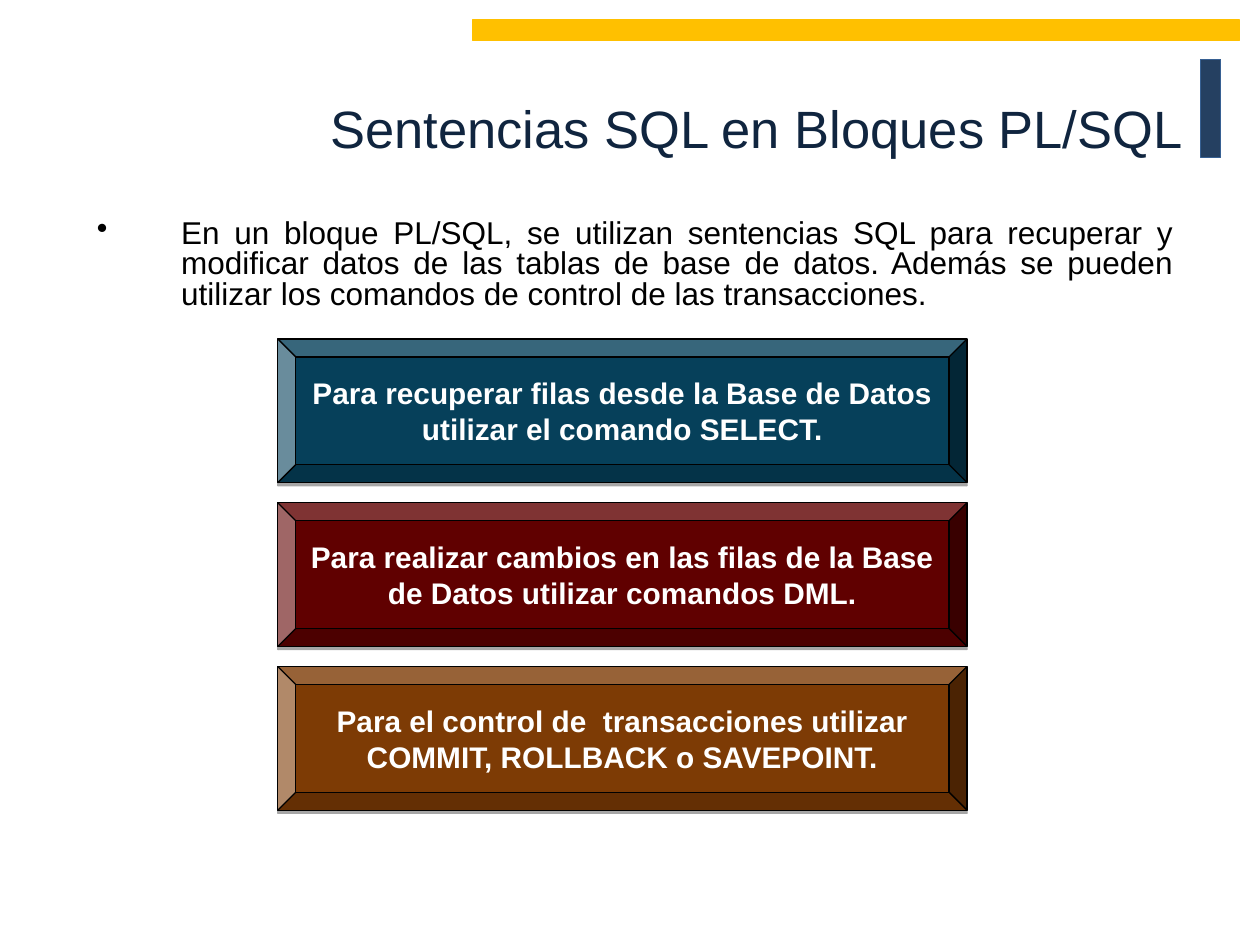
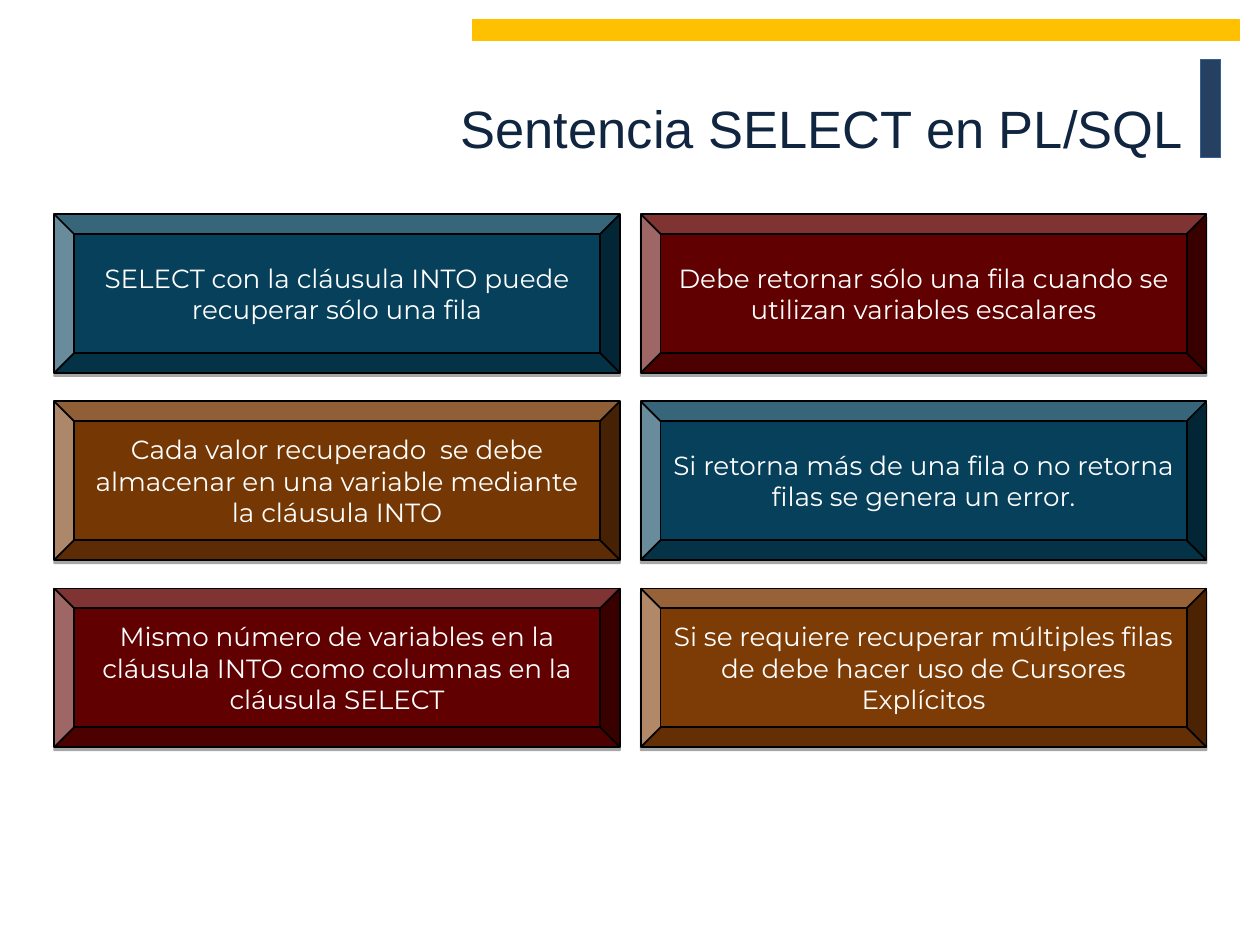
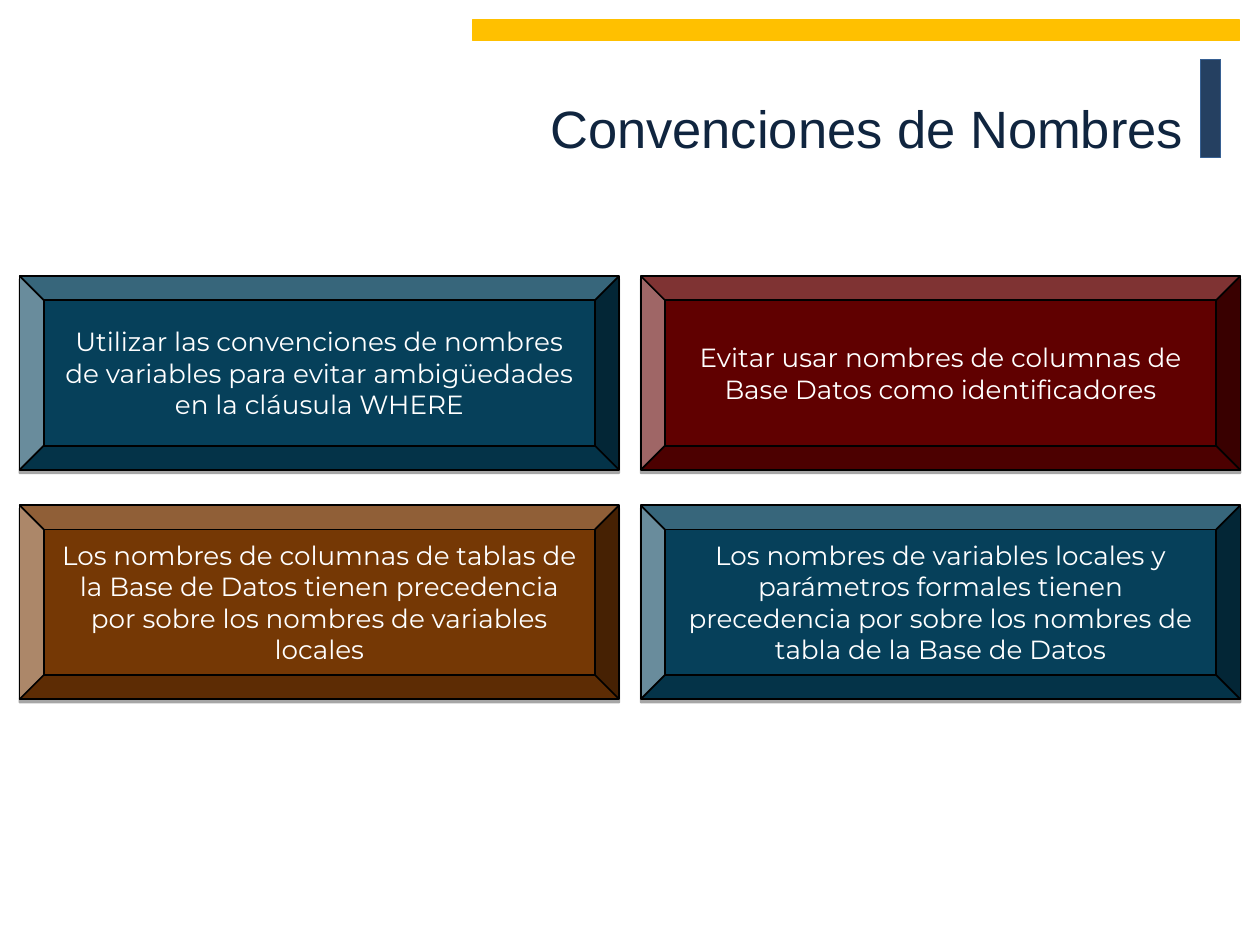
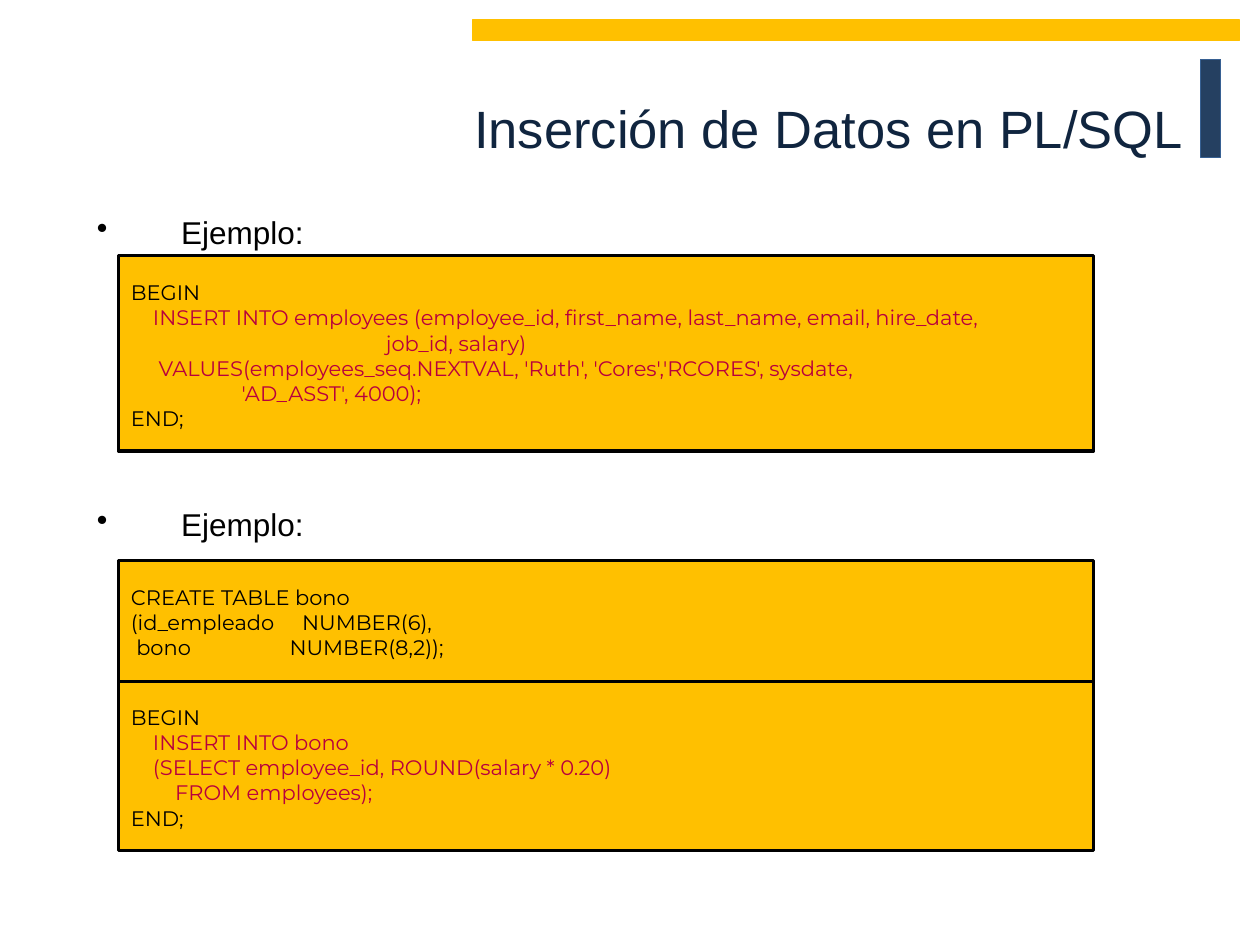
"""Build four slides on SQL statements inside PL/SQL blocks."""
from lxml.etree import SubElement
from pptx import Presentation
from pptx.dml.color import RGBColor as Rgb
from pptx.enum.shapes import MSO_SHAPE as Preset
from pptx.enum.text import MSO_ANCHOR as Anchor, PP_ALIGN as Align
from pptx.oxml.ns import qn
from pptx.util import Inches, Pt

COLORS = {
    "navy": "254061", "steel": "376092", "title": "10253F", "gold": "FFC000",
    "blue": "06405A", "red": "600000", "brown": "7D3B05", "umber": "753805",
    "black": "000000", "white": "FFFFFF", "crimson": "B8003D",
}
FONTS = {
    "title": {"name": "Arial", "size": Pt(30)},
    "body": {"name": "Arial", "size": Pt(18)},
    "strong": {"name": "Arial", "size": Pt(17), "bold": True},
    "tile": {"name": "Montserrat", "size": Pt(15)},
    "code": {"name": "Montserrat", "size": Pt(12)},
}
FRAMES = {
    "title": {"word_wrap": True, "vertical_anchor": Anchor.MIDDLE},
    "body": {"word_wrap": True, "vertical_anchor": Anchor.TOP},
    "code": {"word_wrap": True, "vertical_anchor": Anchor.TOP,
             "margin_top": Inches(0.19)},
}
PARAGRAPHS = {
    "title": {"alignment": Align.RIGHT},
    "body": {"alignment": Align.JUSTIFY, "line_spacing": 0.8},
    "tile": {"alignment": Align.CENTER},
    "code": {"alignment": Align.LEFT},
}
COLUMNS, ROWS = 100, 75
SPACE = 0.44


def apply(target, values):
    """Set every attribute named in values on target."""
    for key, value in values.items():
        setattr(target, key, value)


def add_xml(parent, tag, **attributes):
    """Append a DrawingML child element and return it."""
    return SubElement(parent, qn(f"a:{tag}"),
                      {key: str(value) for key, value in attributes.items()})


class Deck:
    """Hold the shared style and the current slide."""

    def __init__(self):
        """Open an empty 4:3 presentation."""
        self.show = Presentation()
        apply(self.show, {"slide_width": Inches(10), "slide_height": Inches(7.5)})
        self.slide = None

    def x(self, columns):
        """Turn grid columns into a length."""
        return int(self.show.slide_width * columns / COLUMNS)

    def y(self, rows):
        """Turn grid rows into a length."""
        return int(self.show.slide_height * rows / ROWS)

    def area(self, left, top, width, height):
        """Turn a grid area into lengths."""
        return self.x(left), self.y(top), self.x(width), self.y(height)

    def start(self, title):
        """Begin a slide with its bands and title."""
        self.slide = self.show.slides.add_slide(self.show.slide_layouts[6])
        self.block((95.3, 4.7, 1.6, 7.8), "navy", "steel", 0.75)
        self.block((37.5, 1.6, 60.9, 1.6), "gold", "gold", 0.75)
        frame = self.text_box((9.7, 2.1, 85.2, 16), "title")
        self.put_text(frame.paragraphs[0], title, "title", "title", "title")

    def block(self, area, fill, line, weight, preset=Preset.RECTANGLE):
        """Add a filled and outlined preset shape without shadow."""
        shape = self.slide.shapes.add_shape(preset, *self.area(*area))
        shape.shadow.inherit = False
        shape.fill.solid()
        shape.fill.fore_color.rgb = Rgb.from_string(COLORS[fill])
        shape.line.color.rgb = Rgb.from_string(COLORS[line])
        shape.line.width = Pt(weight)
        return shape

    def text_box(self, area, style):
        """Add a text box and return its frame."""
        frame = self.slide.shapes.add_textbox(*self.area(*area)).text_frame
        apply(frame, FRAMES[style])
        return frame

    def put_text(self, paragraph, text, layout, font, color):
        """Fill a paragraph with one styled run."""
        apply(paragraph, PARAGRAPHS[layout])
        run = paragraph.add_run()
        run.text = text
        apply(run.font, FONTS[font])
        run.font.color.rgb = Rgb.from_string(COLORS[color])

    def bullet(self, top, text):
        """Add a justified bullet point at a row."""
        paragraph = self.text_box((6.7, top, 87.4, 4.5), "body").paragraphs[0]
        self.put_text(paragraph, text, "body", "body", "black")
        properties = paragraph._p.get_or_add_pPr()
        hanging = {"marL": self.x(6.7), "indent": -self.x(6.7)}
        for key, value in hanging.items():
            properties.set(key, str(value))
        add_xml(properties, "buChar", char="•")

    def tile(self, area, tone, text, font, weight):
        """Add a bevelled tile with a hard shadow below."""
        tile = self.block(area, tone, "black", weight, Preset.BEVEL)
        effects = tile._element.spPr.find(qn("a:effectLst"))
        shadow = add_xml(effects, "outerShdw", blurRad=0, dist=int(Pt(1.8)),
                         dir=5400000, algn="ctr", rotWithShape=0)
        add_xml(add_xml(shadow, "srgbClr", val=COLORS["black"]), "alpha", val=35000)
        apply(tile.text_frame, FRAMES["title"])
        self.put_text(tile.text_frame.paragraphs[0], text, "tile", font, "white")

    def tiles(self, origin, size, pitch, columns, messages, font="tile", weight=1):
        """Lay tiles out row by row at an equal pitch."""
        for index, (tone, text) in enumerate(messages):
            row, column = divmod(index, columns)
            corner = origin[0] + column * pitch[0], origin[1] + row * pitch[1]
            self.tile((*corner, *size), tone, text, font, weight)

    def code(self, top, height, lines):
        """Add a code panel from (indent, tone, text, tab stop) lines."""
        panel = self.block((9.4, top, 77.4, height), "gold", "black", 1.75)
        frame = panel.text_frame
        apply(frame, FRAMES["code"])
        for index, (indent, tone, text, stop) in enumerate(lines):
            paragraph = frame.add_paragraph() if index else frame.paragraphs[0]
            self.put_text(paragraph, text, "code", "code", tone)
            properties = paragraph._p.get_or_add_pPr()
            properties.set("marL", str(self.x(indent * SPACE)))
            if stop:
                add_xml(add_xml(properties, "tabLst"), "tab",
                        pos=self.x(stop), algn="l")


deck = Deck()

deck.start("Sentencias SQL en Bloques PL/SQL")
deck.bullet(17, "En un bloque PL/SQL, se utilizan sentencias SQL para recuperar y "
                "modificar datos de las tablas de base de datos. Además se pueden "
                "utilizar los comandos de control de las transacciones.")
deck.tiles((22.05, 26.9), (54.7, 11.4), (0, 13), 1, [
    ("blue", "Para recuperar filas desde la Base de Datos utilizar el comando SELECT."),
    ("red", "Para realizar cambios en las filas de la Base de Datos utilizar "
            "comandos DML."),
    ("brown", "Para el control de  transacciones utilizar COMMIT, ROLLBACK o "
              "SAVEPOINT."),
], "strong", 0.75)

deck.start("Sentencia SELECT en PL/SQL")
deck.tiles((4.3, 17), (44.9, 12.6), (46.55, 14.85), 2, [
    ("blue", "SELECT con la cláusula INTO puede recuperar sólo una fila"),
    ("red", "Debe retornar sólo una fila cuando se utilizan variables escalares"),
    ("umber", "Cada valor recuperado  se debe almacenar en una variable mediante "
              "la cláusula INTO"),
    ("blue", "Si retorna más de una fila o no retorna filas se genera un error."),
    ("red", "Mismo número de variables en la cláusula INTO como columnas en la "
            "cláusula SELECT"),
    ("brown", "Si se requiere recuperar múltiples filas de debe hacer uso de "
              "Cursores Explícitos"),
])

deck.start("Convenciones de Nombres")
deck.tiles((1.55, 21.9), (47.6, 15.4), (49.3, 18.2), 2, [
    ("blue", "Utilizar las convenciones de nombres de variables para evitar "
             "ambigüedades en la cláusula WHERE"),
    ("red", "Evitar usar nombres de columnas de Base Datos como identificadores"),
    ("umber", "Los nombres de columnas de tablas de la Base de Datos tienen "
              "precedencia por sobre los nombres de variables locales"),
    ("blue", "Los nombres de variables locales y parámetros formales tienen "
             "precedencia por sobre los nombres de tabla de la Base de Datos"),
])

deck.start("Inserción de Datos en PL/SQL")
for example_top in (17, 40.2):
    deck.bullet(example_top, "Ejemplo:")
deck.code(20.3, 15.5, [
    (0, "black", "BEGIN", None),
    (4, "crimson", "INSERT INTO employees (employee_id, first_name, last_name, "
                   "email, hire_date,", None),
    (46, "crimson", "job_id, salary)", None),
    (5, "crimson", "VALUES(employees_seq.NEXTVAL, 'Ruth', 'Cores','RCORES', "
                   "sysdate,", None),
    (20, "crimson", "'AD_ASST', 4000);", None),
    (0, "black", "END;", None),
])
deck.code(54, 13.5, [
    (0, "black", "BEGIN", None),
    (4, "crimson", "INSERT INTO bono", None),
    (4, "crimson", "(SELECT employee_id, ROUND(salary * 0.20)", None),
    (8, "crimson", "FROM employees);", None),
    (0, "black", "END;", None),
])
deck.code(44.5, 9.6, [
    (0, "black", "CREATE TABLE bono", None),
    (0, "black", "(id_empleado\tNUMBER(6),", 13.6),
    (0, "black", " bono\tNUMBER(8,2));", 12.6),
])

deck.show.save("out.pptx")
